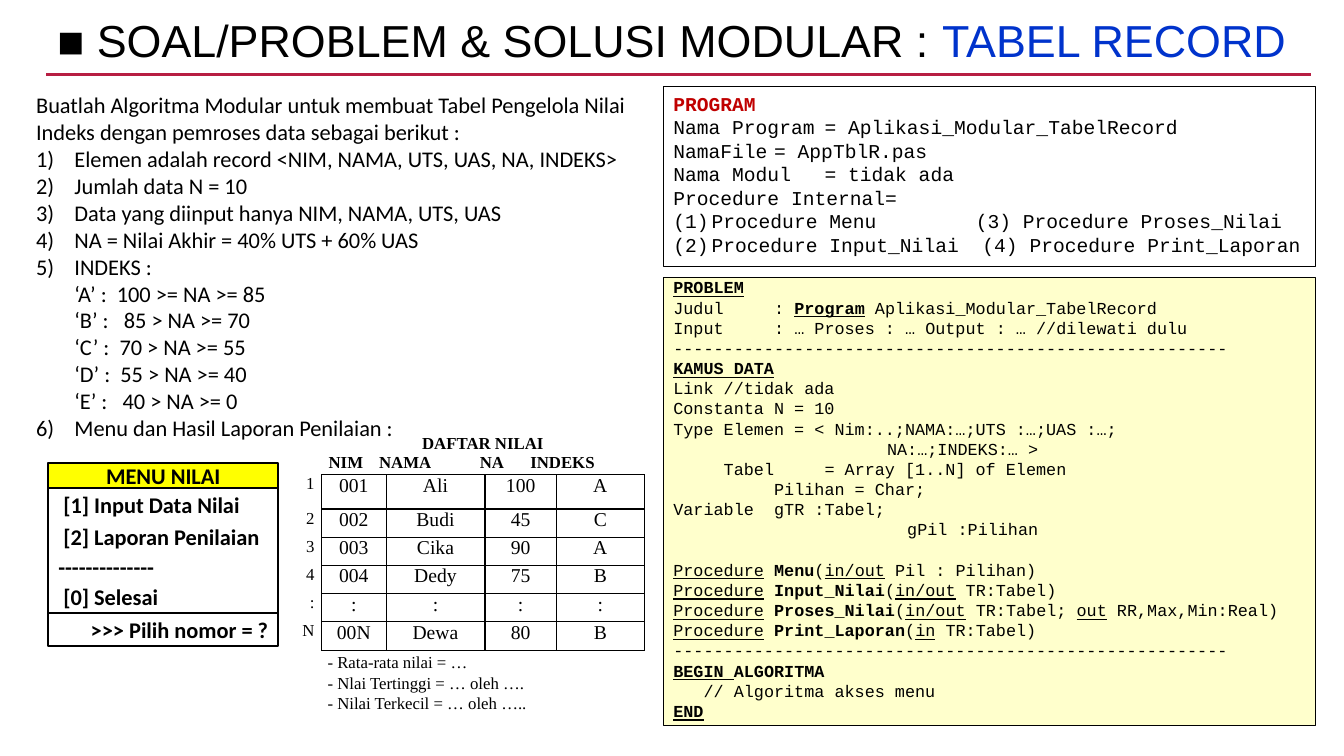
from lxml.etree import SubElement
from pptx import Presentation
from pptx.dml.color import RGBColor
from pptx.enum.shapes import MSO_CONNECTOR, MSO_SHAPE
from pptx.enum.text import MSO_ANCHOR, PP_ALIGN
from pptx.oxml.ns import qn
from pptx.util import Inches, Pt

BLACK = RGBColor(0x00, 0x00, 0x00)
WHITE = RGBColor(0xFF, 0xFF, 0xFF)
BLUE = RGBColor(0x00, 0x33, 0xCC)
CRIMSON = RGBColor(0xB7, 0x1E, 0x42)
RED = RGBColor(0xC0, 0x00, 0x00)
YELLOW = RGBColor(0xFF, 0xFF, 0x00)
CREAM = RGBColor(0xFF, 0xFF, 0xCC)

BODY = {"name": "Calibri", "size": Pt(16)}
MENU = {"name": "Calibri", "size": Pt(16), "bold": True}
CODE = {"name": "Courier New", "size": Pt(12)}
CODE_LARGE = {"name": "Courier New", "size": Pt(14)}
SERIF = {"name": "Times New Roman", "size": Pt(12)}
SERIF_LARGE = {"name": "Times New Roman", "size": Pt(14)}
TITLE = {"name": "Arial", "size": Pt(32)}
BOLD = {"bold": True}
UNDER = {"underline": True}
HEAD = {"bold": True, "underline": True}

NO_TABLE_STYLE = "{2D5ABB26-0587-4C30-8999-92F81FD0307C}"
RULE = "-" * 55
SCORES = [
    ("1", "001", "Ali", "100", "A"),
    ("2", "002", "Budi", "45", "C"),
    ("3", "003", "Cika", "90", "A"),
    ("4", "004", "Dedy", "75", "B"),
    (":", ":", ":", ":", ":"),
    ("N", "00N", "Dewa", "80", "B"),
]
TASKS = [
    "Elemen adalah record <NIM, NAMA, UTS, UAS, NA, INDEKS>",
    "Jumlah data N = 10",
    "Data yang diinput hanya NIM, NAMA, UTS, UAS",
    "NA = Nilai Akhir = 40% UTS + 60% UAS",
    "INDEKS :\v‘A’ :  100 >= NA >= 85\v‘B’ :   85 > NA >= 70\v‘C’ :  70 > NA >= 55"
    "\v‘D’ :  55 > NA >= 40\v‘E’ :   40 > NA >= 0",
    "Menu dan Hasil Laporan Penilaian :",
]


def apply(target, values):
    """Set every attribute named in a dict of format values."""
    for name, value in values.items():
        setattr(target, name, value)


def line(*spans, **layout):
    """Describe one paragraph as its spans and its layout."""
    return spans, layout


def numbered(text, style):
    """Describe one numbered paragraph with a hanging indent."""
    return line(text, left=0.38, hanging=0.38, number=style)


def procedure(name, *arguments):
    """Describe one procedure heading, with its arguments in spans."""
    return [("Procedure", UNDER), (" " + name, BOLD), "(", *arguments]


def lay_out(para, left=0, hanging=0, number=None, tabs=(), **values):
    """Give a paragraph its spacing, indents, numbering and tab stops."""
    apply(para, values)
    properties = para._p.get_or_add_pPr()
    properties.set("marL", str(Inches(left)))
    properties.set("indent", str(-Inches(hanging)))
    if number:
        SubElement(properties, qn("a:buAutoNum"), type=number)
    if tabs:
        stops = SubElement(properties, qn("a:tabLst"))
        for stop in tabs:
            SubElement(stops, qn("a:tab"), pos=str(Inches(stop)), algn="l")


def write(frame, lines, font):
    """Fill a text frame with described paragraphs in one base font."""
    for index, (spans, layout) in enumerate(lines):
        para = frame.add_paragraph() if index else frame.paragraphs[0]
        lay_out(para, **{"alignment": PP_ALIGN.LEFT, **layout})
        for item in spans:
            text, changes = (item, {}) if isinstance(item, str) else item
            pieces = text.split("\v")
            for position, piece in enumerate(pieces):
                if position:
                    para.add_line_break()
                span = para.add_run()
                span.text = piece
                values = {**font, **changes}
                span.font.color.rgb = values.pop("color", BLACK)
                apply(span.font, values)


def add_text(page, area, lines, font):
    """Add a wrapping text box."""
    box = page.shapes.add_textbox(*map(Inches, area))
    box.text_frame.word_wrap = True
    write(box.text_frame, lines, font)


def add_panel(page, area, lines, font, fill, width, **frame_values):
    """Add an outlined rectangle with text."""
    box = page.shapes.add_shape(MSO_SHAPE.RECTANGLE, *map(Inches, area))
    box.shadow.inherit = False
    box.fill.solid()
    box.fill.fore_color.rgb = fill
    box.line.color.rgb = BLACK
    box.line.width = Pt(width)
    apply(box.text_frame, {"word_wrap": True, "vertical_anchor": MSO_ANCHOR.TOP, **frame_values})
    write(box.text_frame, lines, font)


def add_rule(page):
    """Add the line under the title."""
    rule = page.shapes.add_connector(
        MSO_CONNECTOR.STRAIGHT, Inches(0.46), Inches(0.74), Inches(13), Inches(0.74))
    rule.line.color.rgb = CRIMSON
    rule.line.width = Pt(2.5)
    SubElement(rule._element.spPr, qn("a:effectLst"))


def set_cell(cell, lines, font, bordered):
    """Write a table cell and draw its borders if it has any."""
    apply(cell, {"margin_left": Inches(0.07), "margin_right": Inches(0.07),
                 "margin_top": 0, "margin_bottom": 0})
    write(cell.text_frame, lines, font)
    if bordered:
        for side in ("lnL", "lnR", "lnT", "lnB"):
            border = SubElement(cell._tc.get_or_add_tcPr(), qn("a:" + side), w=str(Pt(1)))
            fill = SubElement(border, qn("a:solidFill"))
            SubElement(fill, qn("a:srgbClr"), val=str(BLACK))
    cell.fill.background()


def add_scores(page):
    """Add the score table with its merged heading."""
    widths = [0.34, 0.64, 0.98, 0.71, 0.87]
    heights = [0.37, 0.34] + [0.28] * 5
    table = page.shapes.add_table(
        len(heights), len(widths), Inches(2.85), Inches(4.31),
        Inches(sum(widths)), Inches(sum(heights))).table
    apply(table, {"first_row": False, "horz_banding": False})
    table._tbl.tblPr.find(qn("a:tableStyleId")).text = NO_TABLE_STYLE
    for column, width in zip(table.columns, widths):
        column.width = Inches(width)
    for row, height in zip(table.rows, heights):
        row.height = Inches(height)
    table.cell(0, 1).merge(table.cell(0, 4))
    set_cell(table.cell(0, 0), [line(("", {}))], SERIF, False)
    set_cell(table.cell(0, 1), [
        line("DAFTAR NILAI", alignment=PP_ALIGN.CENTER),
        line("NIM\tNAMA\tNA\tINDEKS", tabs=[0.72, 1.72, 2.37]),
    ], {**SERIF, **BOLD}, False)
    for row, values in enumerate(SCORES, 1):
        for column, value in enumerate(values):
            alignment = PP_ALIGN.CENTER if column else PP_ALIGN.RIGHT
            set_cell(table.cell(row, column), [line(value, alignment=alignment)],
                     SERIF_LARGE if column else SERIF, column > 0)


def add_menu(page):
    """Add the three stacked panels of the menu."""
    items = [line(text, left=0.05, space_before=Pt(2), space_after=Pt(2))
             for text in ("[1] Input Data Nilai", "[2] Laporan Penilaian", "[0] Selesai")]
    items.insert(2, line("-" * 14))
    panels = [
        (4.84, 1.24, WHITE, items),
        (4.59, 0.25, YELLOW, [line("MENU NILAI", alignment=PP_ALIGN.CENTER)]),
        (6.08, 0.33, WHITE, [line(">>> Pilih nomor = ?", alignment=PP_ALIGN.RIGHT)]),
    ]
    for top, height, fill, lines in panels:
        add_panel(page, (0.48, top, 2.28, height), lines, MENU, fill, 1.5,
                  vertical_anchor=MSO_ANCHOR.MIDDLE)


def main():
    """Build the slide and save the deck."""
    deck = Presentation()
    apply(deck, {"slide_width": Inches(13.33), "slide_height": Inches(7.5)})
    page = deck.slides.add_slide(deck.slide_layouts[6])
    add_rule(page)
    add_text(page, (0.47, 0.14, 12.57, 0.54), [
        line("■ SOAL/PROBLEM & SOLUSI MODULAR : ", ("TABEL RECORD", {"color": BLUE}),
             line_spacing=0.9)], TITLE)
    add_scores(page)
    add_text(page, (0.26, 0.86, 6.32, 3.6), [
        line("Buatlah Algoritma Modular untuk membuat Tabel Pengelola Nilai Indeks "
             "dengan pemroses data sebagai berikut :"),
        *[numbered(task, "arabicParenR") for task in TASKS]], BODY)
    add_menu(page)
    add_text(page, (3.15, 6.42, 3.25, 0.71), [
        line("- Rata-rata nilai = …"),
        line("- Nlai Tertinggi = … oleh …."),
        line("- Nilai Terkecil = … oleh …..")], SERIF)
    add_panel(page, (6.58, 0.86, 6.47, 1.78), [
        line(("PROGRAM", {"bold": True, "color": RED})),
        line("Nama Program\t= Aplikasi_Modular_TabelRecord", tabs=[2]),
        line("NamaFile\t= AppTblR.pas", tabs=[2]),
        line("Nama Modul\t= tidak ada", tabs=[2]),
        line("Procedure Internal="),
        numbered("Procedure Menu\t\t(3) Procedure Proses_Nilai", "arabicParenBoth"),
        numbered("Procedure Input_Nilai  (4) Procedure Print_Laporan", "arabicParenBoth"),
    ], CODE_LARGE, WHITE, 0.75)
    add_panel(page, (6.58, 2.75, 6.47, 4.45), [
        line(("PROBLEM", HEAD)),
        line("Judul\t: ", ("Program", HEAD), " Aplikasi_Modular_TabelRecord", tabs=[0.7]),
        line("Input\t: … Proses : … Output : … //dilewati dulu", tabs=[0.7]),
        line(RULE),
        line(("KAMUS DATA", HEAD)),
        line("Link\t//tidak ada", tabs=[1.1]),
        line("Constanta N = 10"),
        line("Type\tElemen = < Nim:..;NAMA:…;UTS :…;UAS :…;", tabs=[1]),
        line("NA:…;INDEKS:… >", left=2.12),
        line("\tTabel\t= Array [1..N] of Elemen", tabs=[1, 1.7]),
        line("Pilihan = Char;", left=1),
        line("Variable\tgTR :Tabel;", tabs=[1]),
        line("gPil :Pilihan", left=2.32),
        line(*procedure("Menu", ("in/out", UNDER), " Pil : Pilihan)"), space_before=Pt(14.4)),
        line(*procedure("Input_Nilai", ("in/out", UNDER), " TR:Tabel)")),
        line(*procedure("Proses_Nilai", ("in/out", UNDER), " TR:Tabel; ",
                        ("out", UNDER), " RR,Max,Min:Real)")),
        line(*procedure("Print_Laporan", ("in", UNDER), " TR:Tabel)")),
        line(RULE),
        line(("BEGIN ", HEAD), ("ALGORITMA", BOLD)),
        line("// Algoritma akses menu", left=0.3),
        line(("END", HEAD)),
    ], CODE, CREAM, 0.75, margin_top=0, margin_bottom=0)
    deck.save("out.pptx")


if __name__ == "__main__":
    main()
